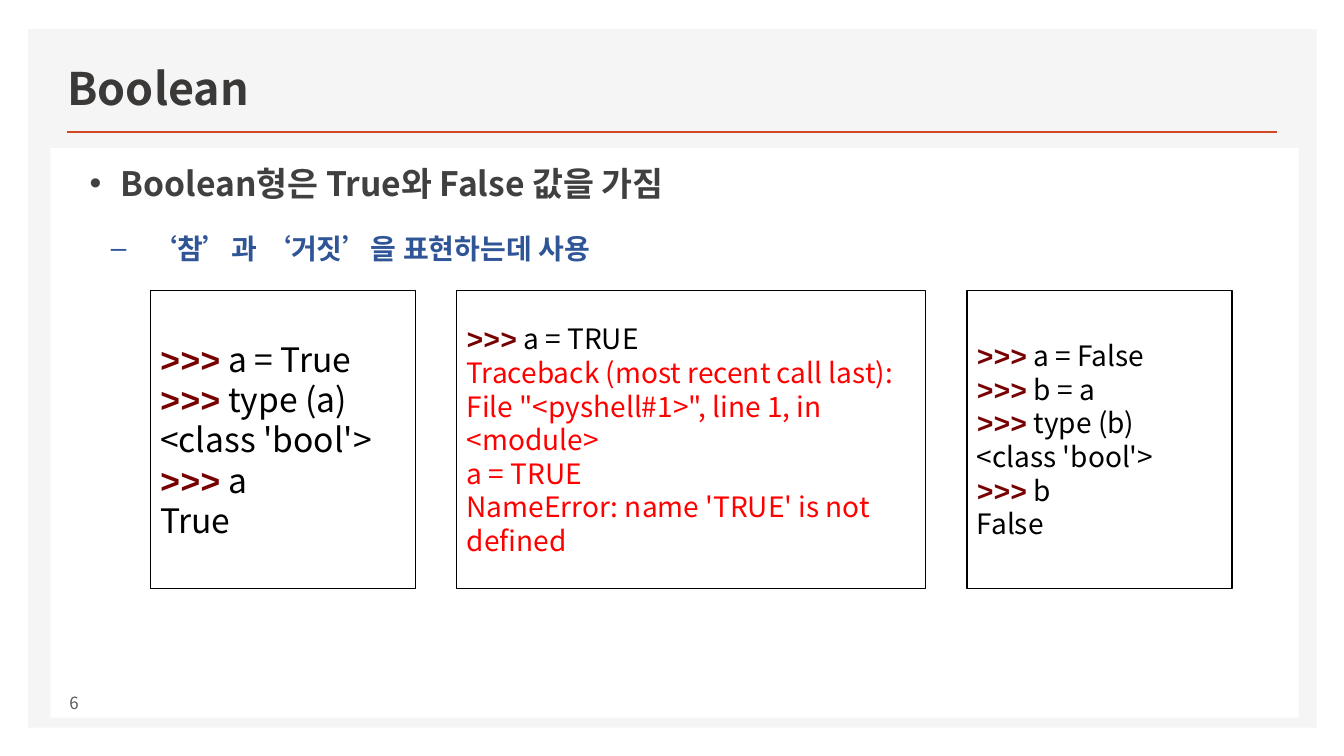
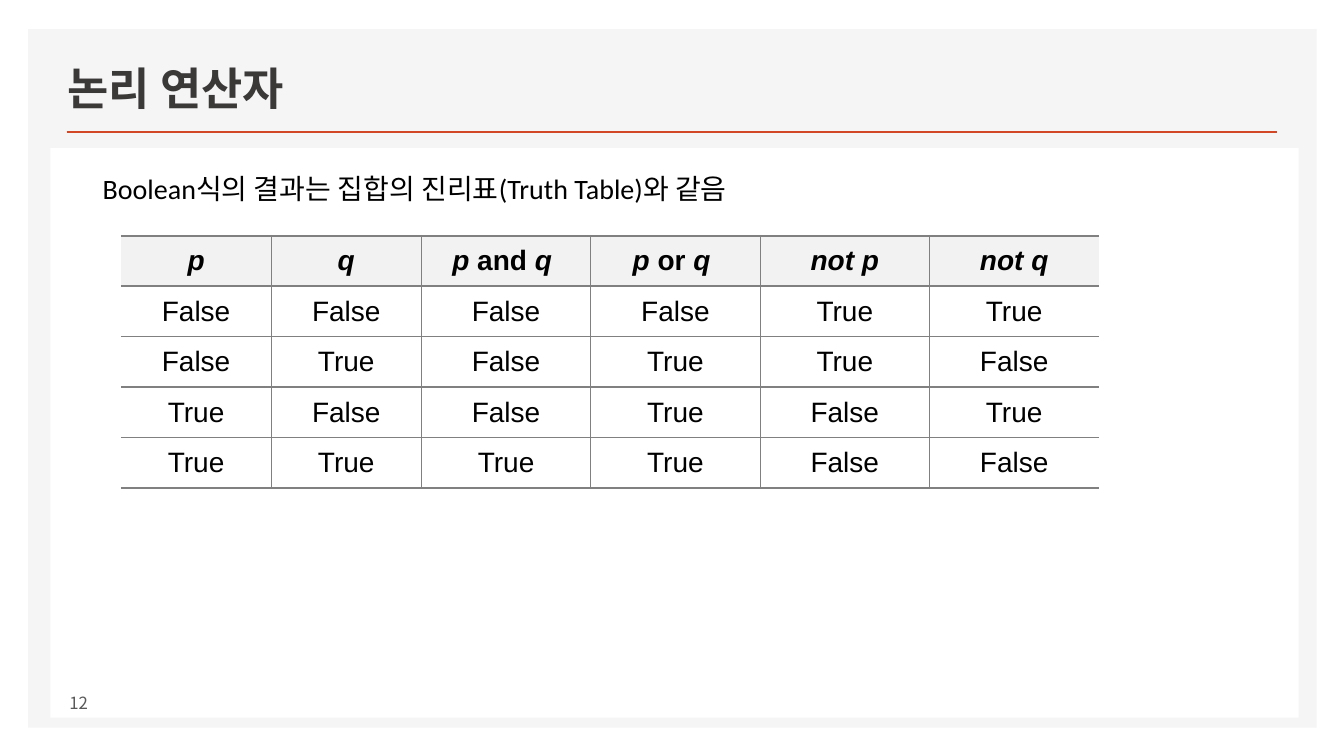
from dataclasses import dataclass

from lxml.etree import SubElement
from pptx import Presentation
from pptx.dml.color import RGBColor as Rgb
from pptx.enum.shapes import MSO_CONNECTOR as Connector, MSO_SHAPE as Shape
from pptx.enum.text import MSO_ANCHOR as Anchor, PP_ALIGN as Align
from pptx.oxml.ns import qn
from pptx.util import Inches, Pt


@dataclass(frozen=True)
class Theme:
    sans: str = "Noto Sans CJK KR"
    mono: str = "Courier New"
    note: str = "Calibri"
    table: str = "Arial"
    frame: str = "F5F5F5"
    paper: str = "FFFFFF"
    accent: str = "D24726"
    title: str = "3B3838"
    point: str = "404040"
    subpoint: str = "2F5597"
    footer: str = "595959"
    ink: str = "000000"
    prompt: str = "770000"
    error: str = "FF0000"
    header: str = "F2F2F2"
    grid: str = "808080"
    title_size: int = 32
    large: int = 24
    medium: int = 20
    small: int = 12


THEME = Theme()
PROMPT = ">>>"

POINTS = [
    # text, bullet, left indent, hanging indent, space before, size, colour
    ("Boolean형은 True와 False 값을 가짐", "•", 0.51, 0.31, 6, THEME.large, THEME.point),
    ("‘참’과 ‘거짓’을 표현하는데 사용", "–", 0.79, 0.38, 10, THEME.medium, THEME.subpoint),
]
TRUE_SESSION = [">>> a = True", ">>> type (a)", "<class 'bool'>", ">>> a", "True"]
ERROR_SESSION = [
    ">>> a = TRUE",
    "Traceback (most recent call last):",
    'File "<pyshell#1>", line 1, in <module>',
    "a = TRUE",
    "NameError: name 'TRUE' is not defined",
]
FALSE_SESSION = [">>> a = False", ">>> b = a", ">>> type (b)", "<class 'bool'>", ">>> b", "False"]

# Each heading is a list of (text, italic) spans.
HEADINGS = [
    [("p", True)],
    [("q", True)],
    [("p", True), (" and ", False), ("q ", True)],
    [("p", True), (" or ", False), ("q ", True)],
    [("not p", True)],
    [("not q", True)],
]
TRUTH_ROWS = [
    [str(value) for value in (p, q, p and q, p or q, not p, not q)]
    for p in (False, True) for q in (False, True)
]


def set_font(font, name, color, size=None, bold=False):
    font.name, font.bold = name, bold
    font.color.rgb = Rgb.from_string(color)
    if size:
        font.size = Pt(size)
    SubElement(font._element if hasattr(font, "_element") else font._rPr,
               qn("a:ea"), typeface=THEME.sans)


def add_panel(page, box, fill=None, line=None, width=1):
    panel = page.shapes.add_shape(Shape.RECTANGLE, *map(Inches, box))
    panel.shadow.inherit = False
    if fill:
        panel.fill.solid()
        panel.fill.fore_color.rgb = Rgb.from_string(fill)
    else:
        panel.fill.background()
    if line:
        panel.line.color.rgb = Rgb.from_string(line)
        panel.line.width = Pt(width)
    else:
        panel.line.fill.background()
    return panel


def add_frame(page, box, anchor=Anchor.TOP):
    """Add a wrapping text box and return its text frame."""
    frame = page.shapes.add_textbox(*map(Inches, box)).text_frame
    frame.word_wrap = True
    frame.vertical_anchor = anchor
    return frame


def add_label(page, box, text, name, color, size, bold=False, anchor=Anchor.TOP):
    para = add_frame(page, box, anchor).paragraphs[0]
    para.text = text
    set_font(para.font, name, color, size, bold)


def next_para(frame, index):
    return frame.add_paragraph() if index else frame.paragraphs[0]


def add_page(deck, title, number):
    """Add a slide with the shared frame, title, rule and page number."""
    page = deck.slides.add_slide(deck.slide_layouts[6])
    add_panel(page, (0.28, 0.29, 12.78, 6.93), THEME.frame)
    rule = page.shapes.add_connector(
        Connector.STRAIGHT, Inches(0.66), Inches(1.31), Inches(12.67), Inches(1.31))
    rule.line.color.rgb = Rgb.from_string(THEME.accent)
    rule.line.width = Pt(2)
    SubElement(rule._element.spPr, qn("a:effectLst"))
    add_panel(page, (0.5, 1.47, 12.38, 5.65), THEME.paper)
    add_label(page, (0.57, 0.49, 9.19, 0.7), title, THEME.sans, THEME.title,
              THEME.title_size, True, Anchor.BOTTOM)
    add_label(page, (0.59, 6.77, 3.58, 0.4), str(number), THEME.sans, THEME.footer,
              THEME.small, anchor=Anchor.MIDDLE)
    return page


def add_points(page, box, points):
    frame = add_frame(page, box)
    for index, (text, bullet, left, hanging, before, size, color) in enumerate(points):
        para = next_para(frame, index)
        para.text = text
        para.space_before, para.space_after = Pt(before), Pt(10)
        props = para._p.get_or_add_pPr()
        props.set("marL", str(Inches(left)))
        props.set("indent", str(-Inches(hanging)))
        SubElement(props, qn("a:buFont"), typeface=THEME.table)
        SubElement(props, qn("a:buChar"), char=bullet)
        set_font(para.font, THEME.sans, color, size, True)


def add_session(page, box, lines, size, fill=THEME.paper, width=0.33, output=THEME.ink):
    """Add a bordered interpreter session with highlighted prompts."""
    frame = add_panel(page, box, fill, THEME.ink, width).text_frame
    frame.word_wrap = True
    frame.vertical_anchor = Anchor.MIDDLE
    for index, line in enumerate(lines):
        para = next_para(frame, index)
        para.alignment = Align.LEFT
        is_input = line.startswith(PROMPT)
        set_font(para.font, THEME.sans, THEME.ink if is_input else output, size)
        if is_input:
            span = para.add_run()
            span.text = PROMPT
            set_font(span.font, THEME.mono, THEME.prompt, size, True)
        para.add_run().text = line.removeprefix(PROMPT)


def set_border(cell, side, width):
    """Draw one cell edge; a width of zero hides it."""
    line = SubElement(cell._tc.get_or_add_tcPr(), qn(f"a:ln{side}"), w=str(Pt(width)))
    if width:
        fill = SubElement(line, qn("a:solidFill"))
        SubElement(fill, qn("a:srgbClr"), val=THEME.grid)
    else:
        SubElement(line, qn("a:noFill"))


def add_truth_table(page, left, top, widths, row_height, rows):
    table = page.shapes.add_table(
        len(rows), len(widths), Inches(left), Inches(top),
        Inches(sum(widths)), Inches(row_height * len(rows))).table
    table.horz_banding = table.first_row = False
    for column, width in zip(table.columns, widths):
        column.width = Inches(width)
    last_row, last_column = len(rows) - 1, len(widths) - 1
    for r, row in enumerate(rows):
        table.rows[r].height = Inches(row_height)
        for c, spans in enumerate(row):
            cell = table.cell(r, c)
            cell.vertical_anchor = Anchor.MIDDLE
            set_border(cell, "L", 1 if c else 0)
            set_border(cell, "R", 1 if c < last_column else 0)
            set_border(cell, "T", 1.5 if r < 2 else 1)
            set_border(cell, "B", 1.5 if r in (0, last_row) else 1)
            cell.fill.solid()
            cell.fill.fore_color.rgb = Rgb.from_string(THEME.paper if r else THEME.header)
            para = cell.text_frame.paragraphs[0]
            para.alignment = Align.CENTER
            set_font(para.font, THEME.table, THEME.ink, THEME.medium, r == 0)
            for text, italic in spans:
                span = para.add_run()
                span.text = text
                span.font.italic = italic


def add_boolean_page(deck):
    page = add_page(deck, "Boolean", 6)
    add_points(page, (0.59, 1.57, 9.19, 4.35), POINTS)
    top, height = 2.88, 2.96
    add_session(page, (1.49, top, 2.63, height), TRUE_SESSION, THEME.large)
    add_session(page, (4.53, top, 4.65, height), ERROR_SESSION, THEME.medium,
                output=THEME.error)
    add_session(page, (9.59, top, 2.63, height), FALSE_SESSION, THEME.medium,
                fill=None, width=1)


def add_logic_page(deck):
    page = add_page(deck, "논리 연산자", 12)
    add_label(page, (0.92, 1.65, 7, 0.44),
              "Boolean식의 결과는 집합의 진리표(Truth Table)와 같음",
              THEME.note, THEME.ink, THEME.medium)
    body = [[[(value, False)] for value in row] for row in TRUTH_ROWS]
    add_truth_table(page, 1.2, 2.34, [1.49] * 2 + [1.68] * 4, 0.5, [HEADINGS] + body)


def main():
    deck = Presentation()
    deck.slide_width, deck.slide_height = Inches(13.33), Inches(7.5)
    add_boolean_page(deck)
    add_logic_page(deck)
    deck.save("out.pptx")


if __name__ == "__main__":
    main()
